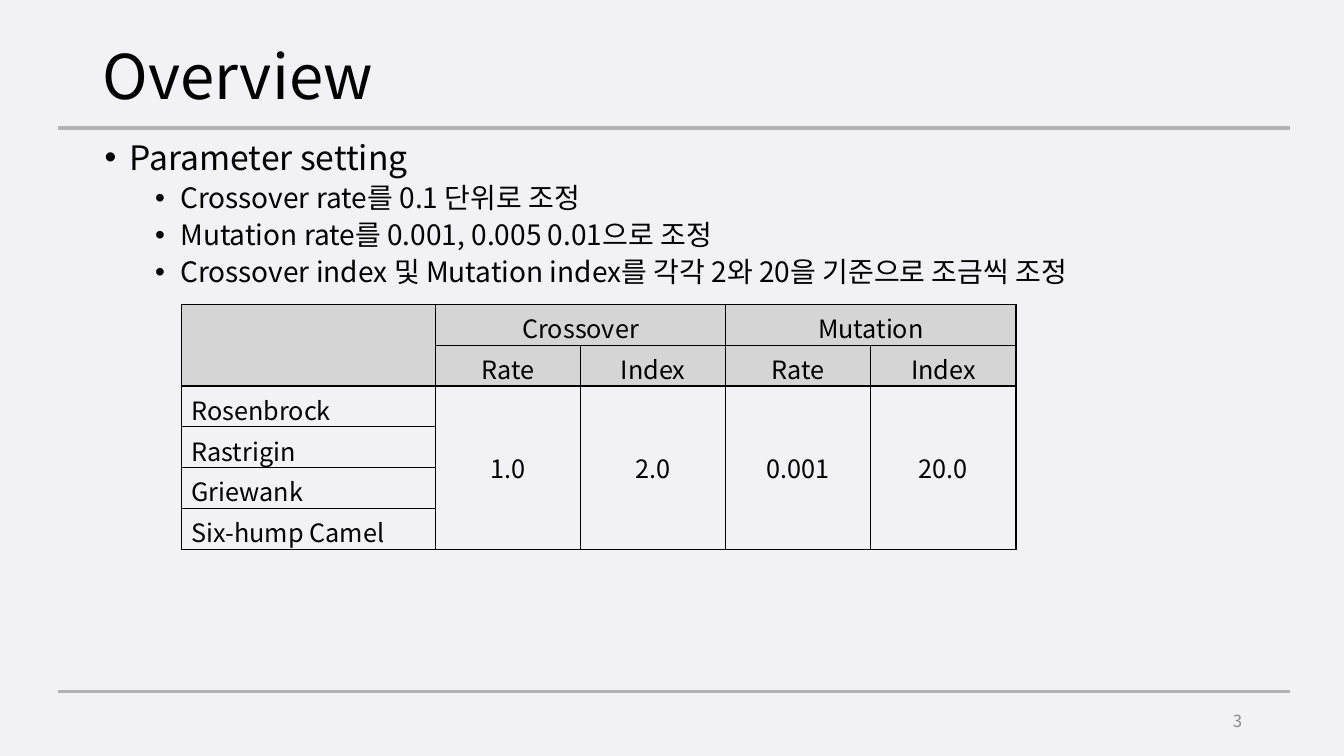
"""Build the parameter-setting overview slide."""
import dataclasses
import typing

import pptx
import pptx.dml.color
import pptx.enum.shapes
import pptx.enum.text
import pptx.oxml
import pptx.oxml.ns
import pptx.util

RGB = pptx.dml.color.RGBColor
ALIGN = pptx.enum.text.PP_ALIGN
ANCHOR = pptx.enum.text.MSO_ANCHOR
BACKGROUND = RGB(0xF2, 0xF2, 0xF4)
RULE = RGB(0xB2, 0xB2, 0xB2)
HEADER = RGB(0xD5, 0xD5, 0xD5)
BLACK = RGB(0, 0, 0)
GREY = RGB(0x8C, 0x8C, 0x8C)
FONT = "Noto Sans CJK KR"
WIDTH = pptx.util.Inches(13.33)
HEIGHT = pptx.util.Inches(7.5)
RULE_ROWS = (16.93, 91.47)
RULE_LEFT, RULE_RIGHT = 4.35, 96.02
TABLE_LEFT, TABLE_TOP = 13.5, 40.27
NAME_COL, VALUE_COL, TABLE_ROW = 18.9, 10.8, 5.4
HEADER_ROWS = 2
GROUPS = ("Crossover", "Mutation")
MEASURES = ("Rate", "Index")
FUNCTIONS = ("Rosenbrock", "Rastrigin", "Griewank", "Six-hump Camel")
VALUES = ("1.0", "2.0", "0.001", "20.0")


@dataclasses.dataclass(frozen=True)
class Line:
    text: str
    size: float
    color: RGB = BLACK
    align: ALIGN = ALIGN.LEFT
    spacing: float = 1
    before: float = 0
    bullet_indent: typing.Optional[float] = None


@dataclasses.dataclass(frozen=True)
class Block:
    left: float
    top: float
    width: float
    height: float
    anchor: ANCHOR
    lines: tuple[Line, ...]


def detail(text: str) -> Line:
    return Line(text, 20, spacing=0.9, before=5, bullet_indent=0.75)


BLOCKS = (
    Block(6.9, 5.33, 86.42, 10.4, ANCHOR.MIDDLE, (Line("Overview", 44, spacing=0.9),)),
    Block(7.05, 18, 86.27, 72, ANCHOR.TOP, (
        Line("Parameter setting", 24, spacing=0.9, before=10, bullet_indent=0.25),
        detail("Crossover rate를 0.1 단위로 조정"),
        detail("Mutation rate를 0.001, 0.005 0.01으로 조정"),
        detail("Crossover index 및 Mutation index를 각각 2와 20을 기준으로 조금씩 조정"),
    )),
    Block(70.67, 92.67, 22.5, 5.33, ANCHOR.MIDDLE, (Line("3", 12, GREY, ALIGN.RIGHT),)),
)


def across(share: float) -> int:
    return round(WIDTH * share / 100)


def down(share: float) -> int:
    return round(HEIGHT * share / 100)


def add_child(parent: typing.Any, tag: str, **attributes: str) -> typing.Any:
    child = pptx.oxml.parse_xml(f"<{tag} {pptx.oxml.ns.nsdecls('a')}/>")
    for name, value in attributes.items():
        child.set(name, value)
    parent.append(child)
    return child


def write_line(p: typing.Any, line: Line) -> None:
    p.text = line.text
    p.alignment = line.align
    p.line_spacing = line.spacing
    p.space_before = pptx.util.Pt(line.before)
    for r in p.runs:
        r.font.name = FONT
        r.font.size = pptx.util.Pt(line.size)
        r.font.color.rgb = line.color
        add_child(r.font._element, "a:ea", typeface=FONT)
    if line.bullet_indent is not None:
        pPr = p._p.get_or_add_pPr()
        pPr.set("marL", str(pptx.util.Inches(line.bullet_indent)))
        pPr.set("indent", str(pptx.util.Inches(-0.25)))
        add_child(pPr, "a:buFont", typeface="Arial")
        add_child(pPr, "a:buChar", char="•")


def draw_block(s: typing.Any, block: Block) -> None:
    sp = s.shapes.add_textbox(across(block.left), down(block.top),
                              across(block.width), down(block.height))
    tf = sp.text_frame
    tf.word_wrap = True
    tf.vertical_anchor = block.anchor
    for i, line in enumerate(block.lines):
        write_line(tf.add_paragraph() if i else tf.paragraphs[0], line)


def draw_rule(s: typing.Any, row: float) -> None:
    sp = s.shapes.add_connector(pptx.enum.shapes.MSO_CONNECTOR.STRAIGHT,
                                across(RULE_LEFT), down(row), across(RULE_RIGHT), down(row))
    sp.line.color.rgb = RULE
    sp.line.width = pptx.util.Pt(2.25)
    add_child(sp._element.spPr, "a:effectLst")


def style_cell(cell: typing.Any, header: bool) -> None:
    tcPr = cell._tc.get_or_add_tcPr()
    for side in ("L", "R", "T", "B"):
        ln = add_child(tcPr, f"a:ln{side}", w=str(pptx.util.Pt(1)))
        add_child(add_child(ln, "a:solidFill"), "a:srgbClr", val=str(BLACK))
    if header:
        cell.fill.solid()
        cell.fill.fore_color.rgb = HEADER
    else:
        cell.fill.background()


def fill_cell(cell: typing.Any, text: str, align: ALIGN = ALIGN.CENTER) -> None:
    write_line(cell.text_frame.paragraphs[0], Line(text, 18, align=align))


def draw_table(s: typing.Any) -> None:
    rows, cols = HEADER_ROWS + len(FUNCTIONS), 1 + len(VALUES)
    table = s.shapes.add_table(rows, cols, across(TABLE_LEFT), down(TABLE_TOP),
                               across(NAME_COL + VALUE_COL * len(VALUES)),
                               down(TABLE_ROW * rows)).table
    table.first_row = table.horz_banding = False
    for c, column in enumerate(table.columns):
        column.width = across(VALUE_COL if c else NAME_COL)
    for r, row in enumerate(table.rows):
        row.height = down(TABLE_ROW)
        for cell in row.cells:
            style_cell(cell, r < HEADER_ROWS)
    table.cell(0, 0).merge(table.cell(HEADER_ROWS - 1, 0))
    for g, group in enumerate(GROUPS):
        first = 1 + g * len(MEASURES)
        table.cell(0, first).merge(table.cell(0, first + len(MEASURES) - 1))
        fill_cell(table.cell(0, first), group)
        for m, measure in enumerate(MEASURES):
            fill_cell(table.cell(1, first + m), measure)
    for f, function in enumerate(FUNCTIONS):
        fill_cell(table.cell(HEADER_ROWS + f, 0), function, ALIGN.LEFT)
    for c, value in enumerate(VALUES, 1):
        cell = table.cell(HEADER_ROWS, c)
        cell.merge(table.cell(rows - 1, c))
        cell.vertical_anchor = ANCHOR.MIDDLE
        fill_cell(cell, value)


def main() -> None:
    prs = pptx.Presentation()
    prs.slide_width, prs.slide_height = WIDTH, HEIGHT
    s = prs.slides.add_slide(prs.slide_layouts[6])
    s.background.fill.solid()
    s.background.fill.fore_color.rgb = BACKGROUND
    for row in RULE_ROWS:
        draw_rule(s, row)
    for block in BLOCKS:
        draw_block(s, block)
    draw_table(s)
    prs.save("out.pptx")


if __name__ == "__main__":
    main()
